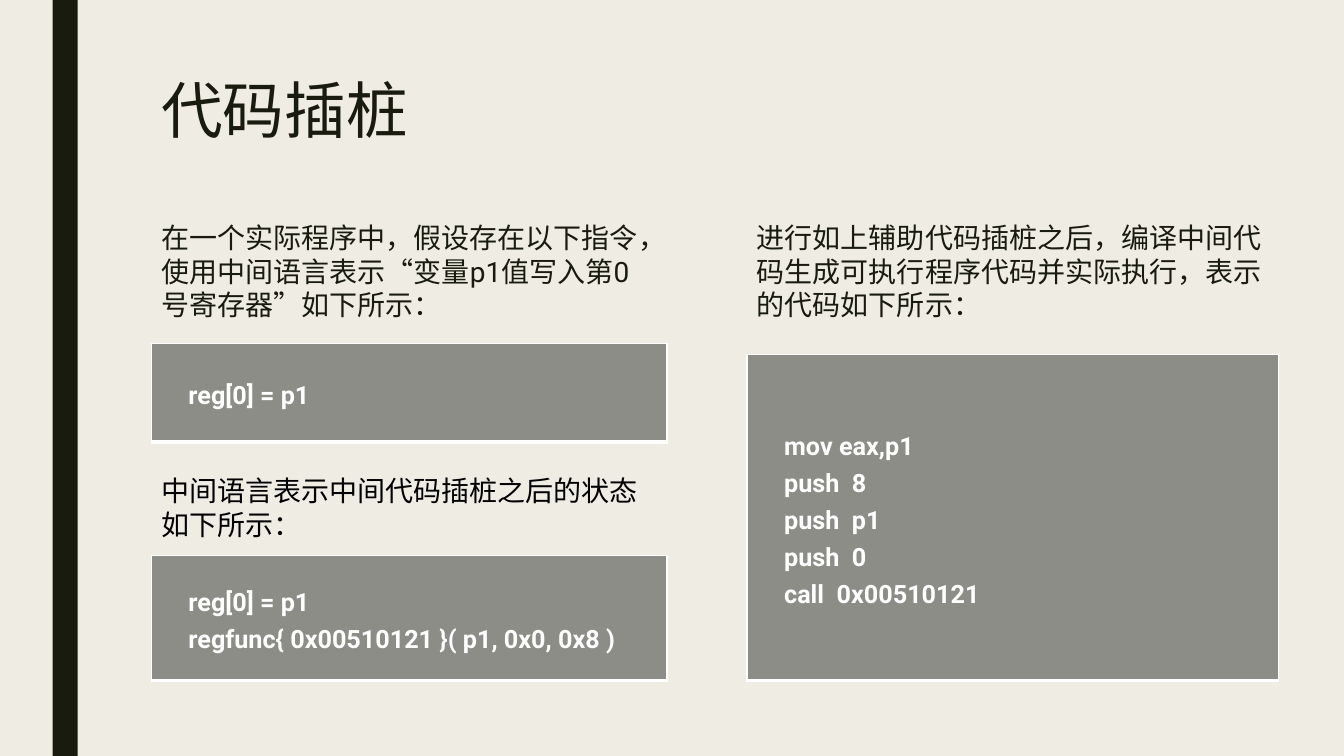
from lxml.etree import SubElement
from pptx import Presentation
from pptx.dml.color import RGBColor
from pptx.enum.shapes import MSO_SHAPE
from pptx.enum.text import MSO_ANCHOR, MSO_AUTO_SIZE, PP_ALIGN
from pptx.oxml.ns import qn
from pptx.util import Pt

COLORS = {
    "paper": "EFEDE3",
    "ink": "191B0E",
    "black": "000000",
    "white": "FFFFFF",
    "panel": "8C8D86",
}
LEFT, RIGHT = 108, 533.5
EDGES = {"lnL": 1, "lnR": 1, "lnT": 1, "lnB": 3}


def tint(name):
    return RGBColor.from_string(COLORS[name])


class Page:
    font = "Roboto"

    def __init__(self, deck):
        self.slide = deck.slides.add_slide(deck.slide_layouts[1])
        self.shapes = self.slide.shapes
        fill = self.slide.background.fill
        fill.solid()
        fill.fore_color.rgb = tint("paper")

    def style(self, para, size, color, bold=False, space=1.0):
        para.font.name = self.font
        para.font.size = Pt(size)
        para.font.bold = bold
        para.font.color.rgb = tint(color)
        para.line_spacing = space
        para.space_before = Pt(0)
        para.alignment = PP_ALIGN.LEFT

    def indent(self, para, first):
        props = para._p.get_or_add_pPr()
        props.set("marL", "0")
        props.set("indent", str(Pt(first)))
        return props

    def bar(self, *box):
        bar = self.shapes.add_shape(MSO_SHAPE.RECTANGLE, *map(Pt, box))
        bar.shadow.inherit = False
        bar.fill.solid()
        bar.fill.fore_color.rgb = tint("ink")
        bar.line.fill.background()

    def label(self, shape, text, box, size, color, space=1.0):
        shape.left, shape.top, shape.width, shape.height = map(Pt, box)
        frame = shape.text_frame
        frame.word_wrap = True
        frame.auto_size = MSO_AUTO_SIZE.NONE
        frame.vertical_anchor = MSO_ANCHOR.TOP
        para = frame.paragraphs[0]
        para.text = text
        self.style(para, size, color, space=space)
        return para

    def title(self, text, *box):
        self.label(self.shapes.title, text, box, 44, "ink", 0.89)

    def body(self, text, *box):
        para = self.label(self.slide.placeholders[1], text, box, 20, "ink")
        SubElement(self.indent(para, 0), qn("a:buNone"))

    def note(self, text, color, *box):
        self.label(self.shapes.add_textbox(*map(Pt, box)), text, box, 20, color)

    def edge(self, cell):
        props = cell._tc.get_or_add_tcPr()
        for side, width in EDGES.items():
            line = SubElement(props, qn(f"a:{side}"), w=str(Pt(width)))
            fill = SubElement(line, qn("a:solidFill"))
            SubElement(fill, qn("a:srgbClr"), val=COLORS["white"])

    def code(self, lines, *box):
        table = self.shapes.add_table(1, 1, *map(Pt, box)).table
        table.first_row = table.horz_banding = False
        cell = table.cell(0, 0)
        self.edge(cell)
        cell.fill.solid()
        cell.fill.fore_color.rgb = tint("panel")
        cell.vertical_anchor = MSO_ANCHOR.MIDDLE
        cell.margin_left = cell.margin_right = Pt(5)
        cell.margin_top = cell.margin_bottom = Pt(0)
        cell.text = "\n".join(lines)
        for para in cell.text_frame.paragraphs:
            self.style(para, 18, "white", True, 1.25)
            self.indent(para, 21.6)


def main():
    deck = Presentation()
    deck.slide_width, deck.slide_height = Pt(960), Pt(540)
    page = Page(deck)
    page.bar(37.5, 0, 18, 540)
    page.title("代码插桩", LEFT, 54, 756, 116.5)
    page.body(
        "在一个实际程序中，假设存在以下指令，使用中间语言表示“变量p1值写入第0号寄存器”如下所示：",
        LEFT, 154, 360, 91,
    )
    page.code(["reg[0] = p1"], LEFT, 245.5, 368.5, 70)
    page.note(
        "中间语言表示中间代码插桩之后的状态如下所示：",
        "black", LEFT, 335, 368.5, 55.5,
    )
    page.code(
        ["reg[0] = p1", "regfunc{ 0x00510121 }( p1, 0x0, 0x8 )"],
        LEFT, 396.5, 368.5, 89.5,
    )
    page.note(
        "进行如上辅助代码插桩之后，编译中间代码生成可执行程序代码并实际执行，表示的代码如下所示：",
        "ink", RIGHT, 154, 379.5, 80,
    )
    page.code(
        ["mov eax,p1", "push  8", "push  p1", "push  0", "call  0x00510121"],
        RIGHT, 253, 379.5, 233,
    )
    deck.save("out.pptx")


if __name__ == "__main__":
    main()
